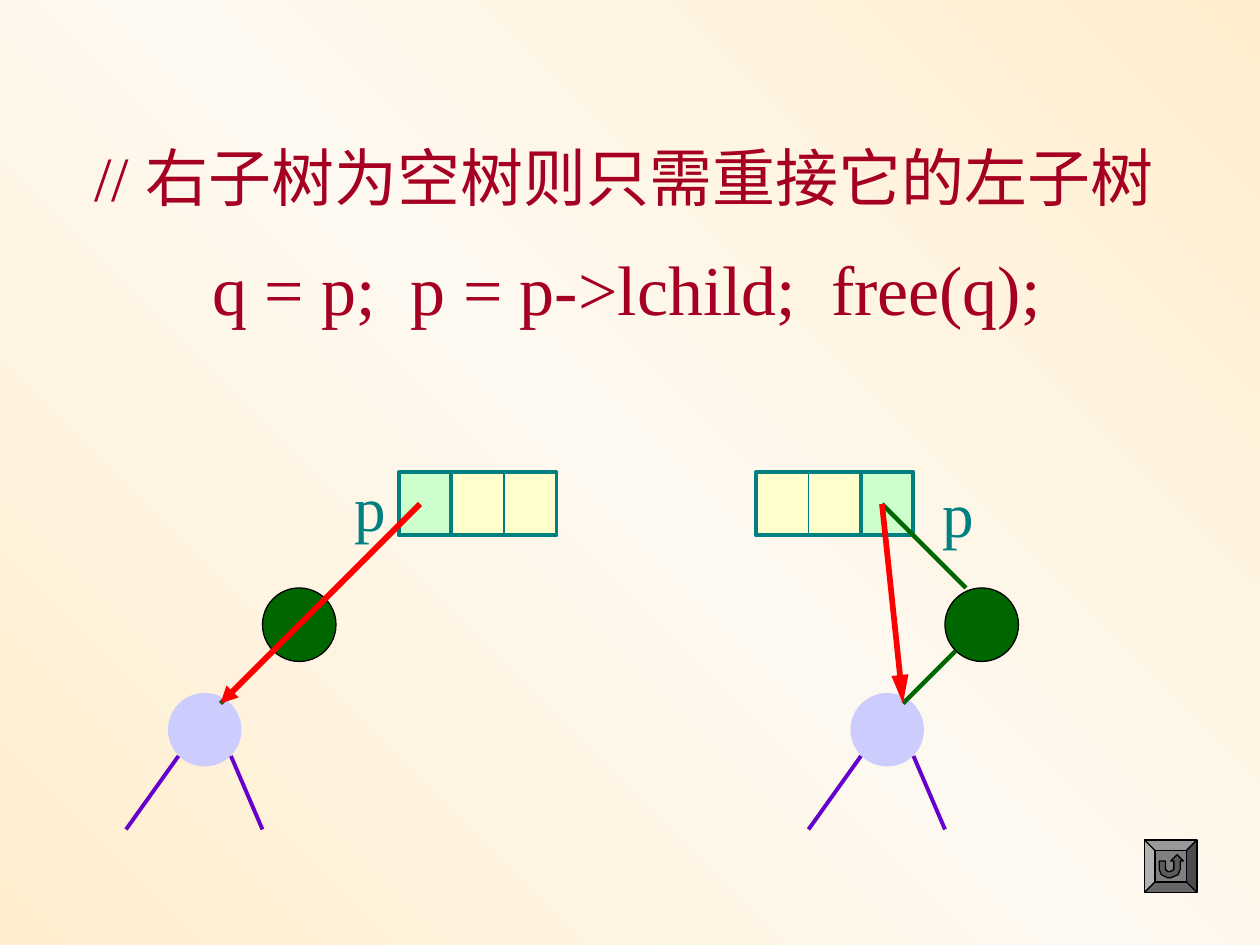
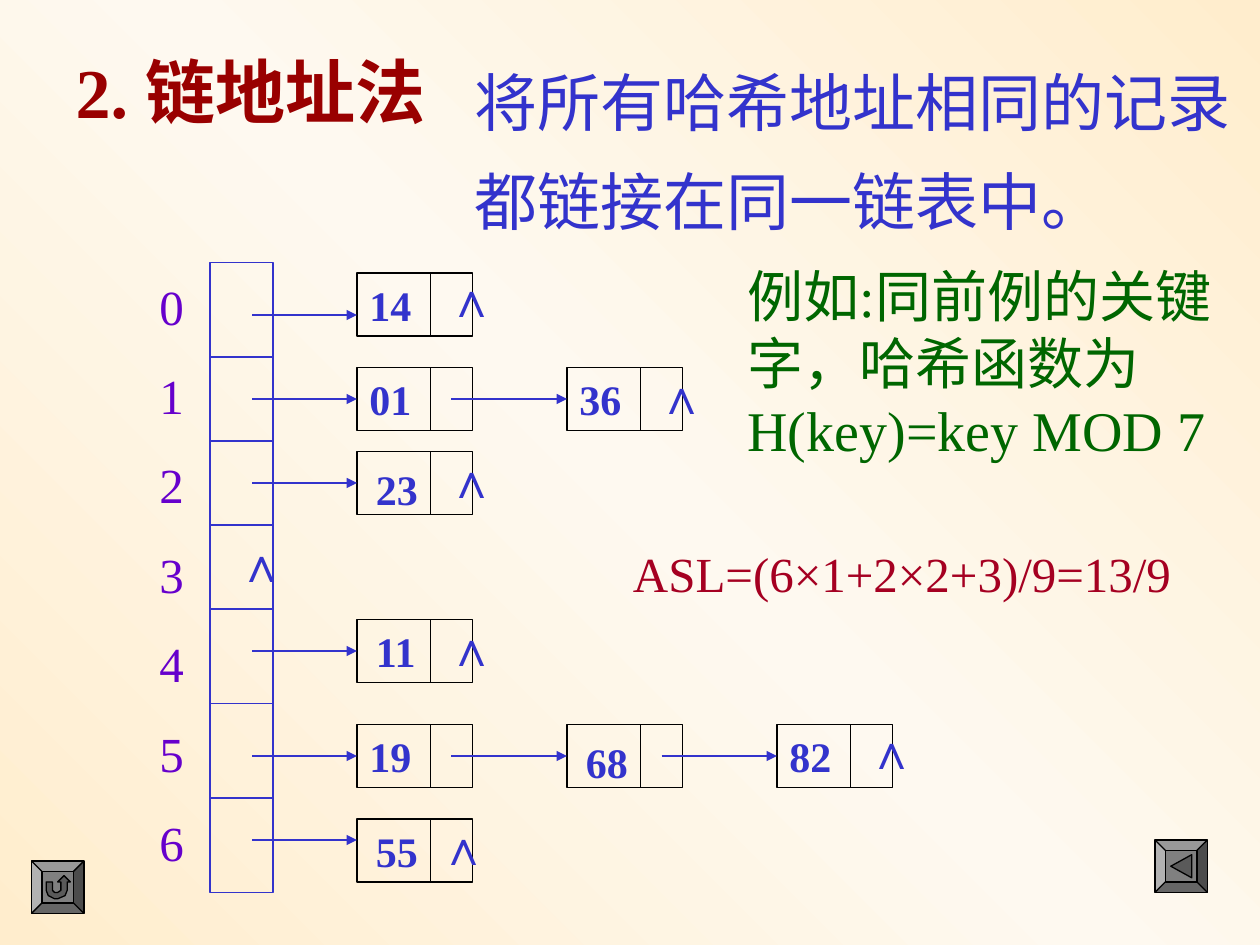
"""Two slides on deleting a tree node and on hashing with chains."""
from copy import deepcopy
from pptx import Presentation, util as u
from pptx.dml.color import RGBColor
from pptx.enum import shapes as sh, text as tx
from pptx.oxml.ns import qn
from lxml import etree

PX = 7620
hue = RGBColor.from_string
RECT, OVAL = sh.MSO_SHAPE.RECTANGLE, sh.MSO_SHAPE.OVAL
TEAL, GREEN, BLUE, PURPLE, RED = "008080", "006600", "3333CC", "6600CC", "A50021"
ROMAN = "Times New Roman"


def block(page, kind, box, fill=None, edge=None, width=0.75):
    item = page.shapes.add_shape(kind, *[v * PX for v in box])
    item.shadow.inherit = False
    if fill:
        item.fill.solid()
        item.fill.fore_color.rgb = hue(fill)
    else:
        item.fill.background()
    if edge:
        item.line.color.rgb = hue(edge)
        item.line.width = u.Pt(width)
    else:
        item.line.fill.background()
    return item


def link(page, ends, color, width, head=None):
    item = page.shapes.add_connector(sh.MSO_CONNECTOR.STRAIGHT, *[v * PX for v in ends])
    item.line.color.rgb = hue(color)
    item.line.width = u.Pt(width)
    if head:
        etree.SubElement(item.line._get_or_add_ln(), qn("a:tailEnd"), type="triangle", len=head)
    etree.SubElement(item._element.spPr, qn("a:effectLst"))
    return item


prs = Presentation()
prs.slide_width, prs.slide_height = 1200 * PX, 900 * PX

fill = prs.slide_master.background.fill
fill.gradient()
fill.gradient_angle = 225
for stop in fill.gradient_stops:
    stop.color.rgb = hue("FFEDCD")
stops = prs.slide_master.element.find(".//" + qn("a:gsLst"))
stops.insert(1, deepcopy(stops[0]))
mid = fill.gradient_stops[1]
mid.position = 0.5
mid.color.rgb = hue("FEF9F0")

layout = prs.slide_layouts[1]
tree = prs.slides.add_slide(layout)
hash_ = prs.slides.add_slide(layout)

for child, data in ((380, 430), (820, 720)):
    block(tree, RECT, (child, 450, 50, 60), "CCFFCC", TEAL, 2.25)
    pair = block(tree, RECT, (data, 450, 100, 60), "FFFFCC", TEAL, 2.25)
    split = link(tree, (data + 50, 450, data + 50, 510), TEAL, 0.75)
    split.begin_connect(pair, 0)
    split.end_connect(pair, 2)

for dx in (0, 650):
    block(tree, OVAL, (250 + dx, 560, 70, 70), GREEN, "000000")
    block(tree, OVAL, (160 + dx, 660, 70, 70), "CCCCFF")
    link(tree, (170 + dx, 720, 120 + dx, 790), PURPLE, 2.25)
    link(tree, (220 + dx, 720, 250 + dx, 790), PURPLE, 2.25)
    link(tree, (260 + dx, 620, 210 + dx, 670), GREEN, 2.5)

for start, old, new, head in ((400, (310, 570), 210, "med"), (840, (920, 560), 860, "lg")):
    link(tree, (start, 480, *old), GREEN, 2.5)
    link(tree, (start, 480, new, 670), "FF0000", 3.25, head)

block(hash_, RECT, (200, 250, 60, 600), None, BLUE)
for y in (340, 420, 500, 580, 670, 760):
    link(hash_, (200, y, 260, y), BLUE, 0.75)

chains = [
    (260, 300, [("14", 0, 0)]),
    (350, 380, [("01", 0, 0), ("36", 0, 0)]),
    (430, 460, [("23", 6, 5)]),
    (590, 620, [("11", 6, 0)]),
    (690, 720, [("19", 0, 0), ("68", 6, 5), ("82", 0, 0)]),
    (780, 800, [("55", 6, 0)]),
]
for top, level, keys in chains:
    for i, (key, dx, dy) in enumerate(keys):
        x = 340 + 200 * i
        node = block(hash_, RECT, (x, top, 110, 60), None, "000000")
        frame = node.text_frame
        frame.text = key
        frame.vertical_anchor = tx.MSO_ANCHOR.TOP
        frame.margin_left, frame.margin_top = (12 + dx) * PX, (6 + dy) * PX
        frame.margin_bottom = 0
        para = frame.paragraphs[0]
        para.alignment = tx.PP_ALIGN.LEFT
        font = para.runs[0].font
        font.name, font.size, font.bold = ROMAN, u.Pt(24), True
        font.color.rgb = hue(BLUE)
        link(hash_, (x + 70, top, x + 70, top + 60), "000000", 0.75)
        start = x - 110 if i else 240
        arrow = link(hash_, (start, level, x, level), BLUE, 1.5, "med")
        if level == top + 30:
            arrow.end_connect(node, 1)

texts = [
    (tree, 0, (78, 90, 1047, 120), "// 右子树为空树则只需重接它的左子树", 36, RED, 1.5, 0, False),
    (tree, 1, (190, 228, 814, 92), "q = p;  p = p->lchild;  free(q);", 40, RED, 1, 0, False),
    (tree, None, (326, 440, 54, 84), "p", 36, TEAL, 1, 0, False),
    (tree, None, (886, 446, 54, 84), "p", 36, TEAL, 1, 0, False),
    (hash_, 0, (60, 40, 370, 173), "2. 链地址法", 40, "990000", 1, 0, True),
    (hash_, 1, (440, 40, 770, 290), "将所有哈希地址相同的记录\n都链接在同一链表中。", 36, BLUE, 1.2, 4.6, True),
    (hash_, None, (140, 257, 70, 580), "0\n1\n2\n3\n4\n5\n6", 28, PURPLE, 1, 17.5, True),
    (hash_, None, (591, 512, 536, 68), "ASL=(6×1+2×2+3)/9=13/9", 28, RED, 1, 0, False),
    (hash_, None, (700, 243, 500, 204), "例如:同前例的关键字，哈希函数为 H(key)=key MOD 7", 32, GREEN, 1, 0, True),
]
nulls = [(414, 250), (614, 342), (414, 422), (414, 582), (814, 680), (407, 772), (214, 502)]
texts += [(hash_, None, (*at, 40, 68), "∧", 28, BLUE, 1, 0, False) for at in nulls]

for page, slot, box, words, size, color, pitch, gap, wrap in texts:
    left, top, width, height = [v * PX for v in box]
    if slot is None:
        item = page.shapes.add_textbox(left, top, width, height)
    else:
        item = page.placeholders[slot]
        item.left, item.top, item.width, item.height = left, top, width, height
    frame = item.text_frame
    frame.text = words
    frame.word_wrap = wrap
    frame.vertical_anchor = tx.MSO_ANCHOR.TOP
    frame.auto_size = tx.MSO_AUTO_SIZE.SHAPE_TO_FIT_TEXT if slot is None else tx.MSO_AUTO_SIZE.NONE
    for i, para in enumerate(frame.paragraphs):
        if slot == 1:
            props = para._p.get_or_add_pPr()
            props.set("marL", "0")
            props.set("indent", "0")
            etree.SubElement(props, qn("a:buNone"))
        para.alignment = tx.PP_ALIGN.LEFT
        para.line_spacing = pitch
        para.space_before = u.Pt(gap if i else 0)
        font = para.runs[0].font
        font.name = "Arial" if words == "∧" else ROMAN
        font.size = u.Pt(size)
        font.bold = words == "∧" or (page is hash_ and slot == 0)
        font.color.rgb = hue(color)

turn = [(14, 20), (20, 20), (20, 28), (22, 30), (25, 30), (28, 28), (28, 20), (25, 20), (31, 14),
        (37, 20), (34, 20), (34, 28), (32, 33), (25, 36), (22, 36), (16, 33), (14, 28)]
back = [(15, 25), (35, 14), (35, 36)]
for page, x, y, icon in ((tree, 1090, 800, turn), (hash_, 1100, 800, back), (hash_, 30, 820, turn)):
    block(page, sh.MSO_SHAPE.BEVEL, (x, y, 50, 50), "808080", "000000").adjustments[0] = 0.2
    spots = [(x + a, y + b) for a, b in icon]
    pen = page.shapes.build_freeform(*spots[0], scale=PX)
    pen.add_line_segments(spots[1:], close=True)
    sign = pen.convert_to_shape()
    sign.shadow.inherit = False
    sign.fill.solid()
    sign.fill.fore_color.rgb = hue("5A5A5A")
    sign.line.color.rgb = hue("000000")
    sign.line.width = u.Pt(0.75)

prs.save("out.pptx")
